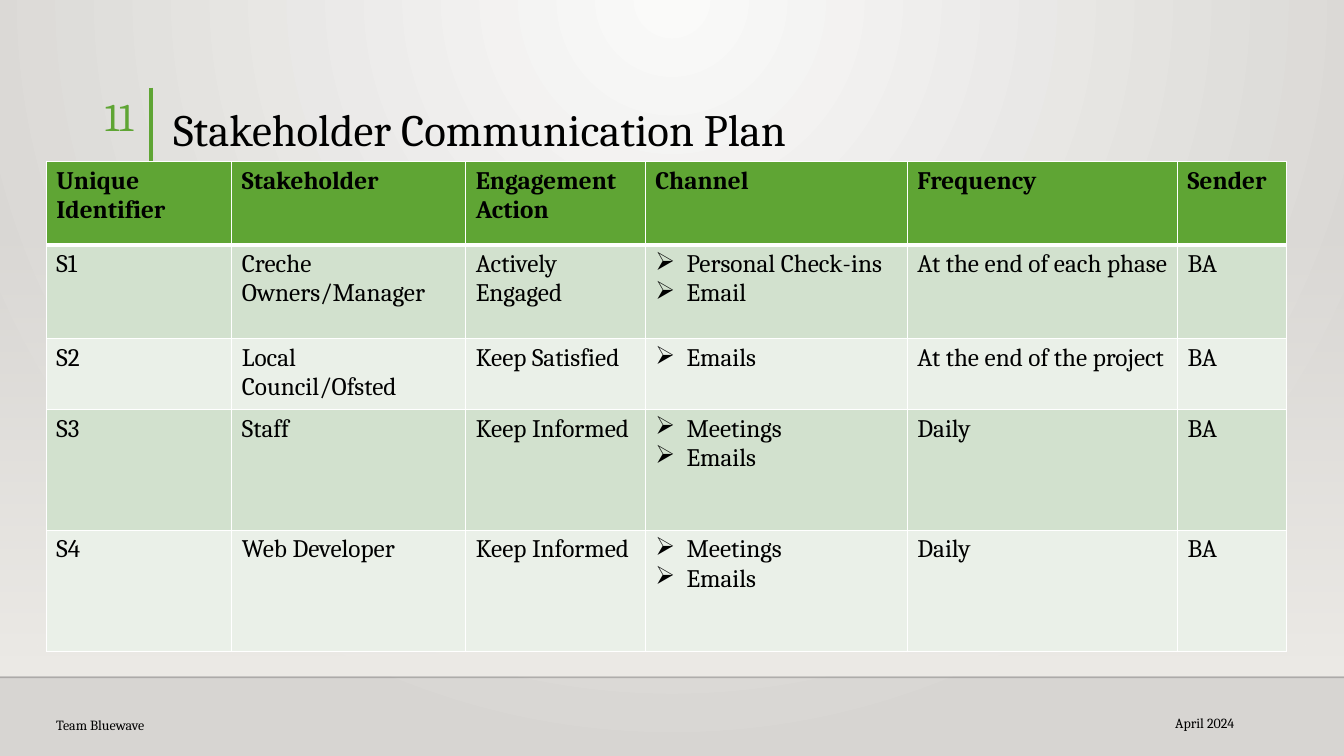
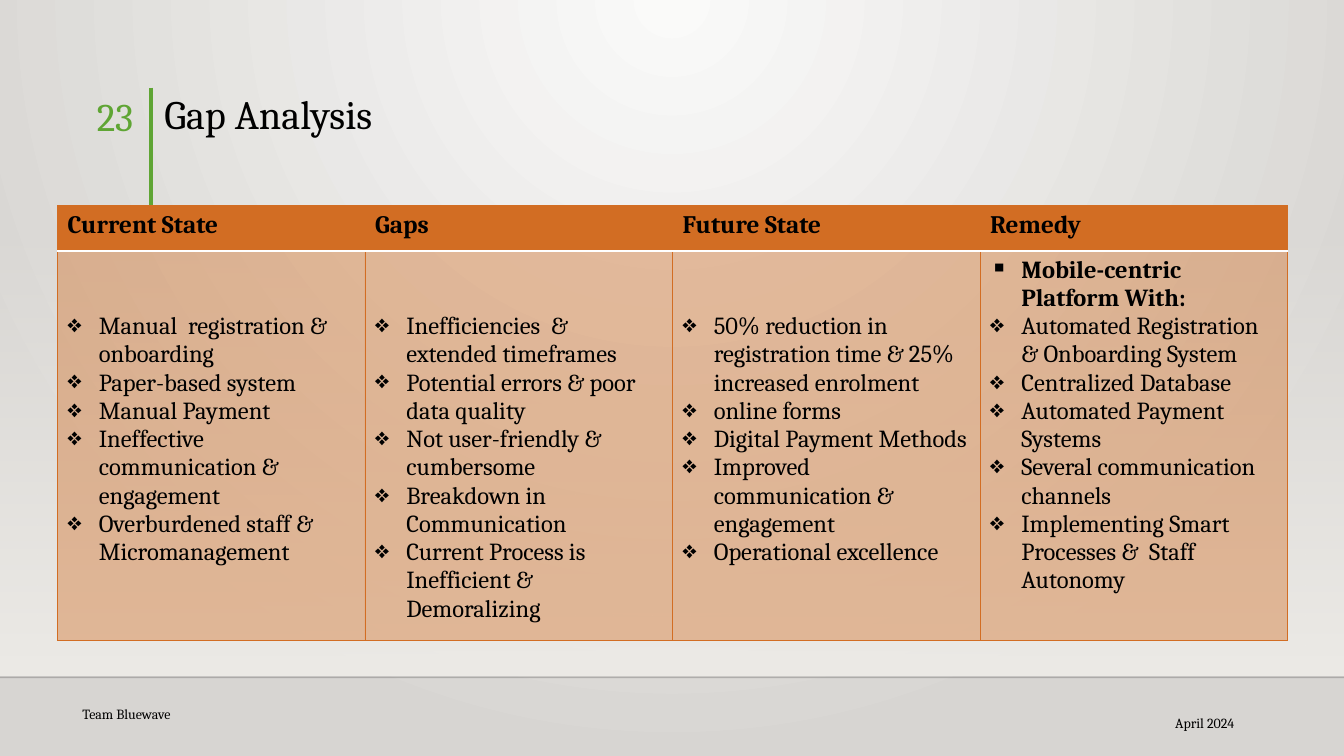
from lxml.etree import SubElement
from pptx import Presentation
from pptx.dml.color import RGBColor
from pptx.enum.shapes import MSO_CONNECTOR, MSO_SHAPE
from pptx.enum.text import MSO_ANCHOR, MSO_AUTO_SIZE, PP_ALIGN
from pptx.oxml.ns import qn
from pptx.util import Inches, Pt

FONT = "Cambria"
BLACK, WHITE, GREEN, ORANGE = "000000", "FFFFFF", "5FA534", "D26D23"
BAND_FILLS = ("D2E1CE", "EAF0E8")
SLIDE_WIDTH, SLIDE_HEIGHT = 13.33, 7.5
TEAM, DATE = "Team Bluewave", "April 2024"

PLAN = {
    "title": "Stakeholder Communication Plan",
    "number": "11",
    "title_at": (1.62, 0.78, 10.37, 0.82),
    "title_size": 32,
    "team_at": (0.46, 6.91, 8.64, 0.56),
}
PLAN_HEADINGS = ("Unique Identifier", "Stakeholder", "Engagement Action",
                 "Channel", "Frequency", "Sender")
PLAN_ROWS = [
    ("S1", "Creche Owners/Manager", "Actively Engaged",
     ["Personal Check-ins", "Email"], "At the end of each phase", "BA"),
    ("S2", "Local Council/Ofsted", "Keep Satisfied",
     ["Emails"], "At the end of the project", "BA"),
    ("S3", "Staff", "Keep Informed", ["Meetings", "Emails"], "Daily", "BA"),
    ("S4", "Web Developer", "Keep Informed", ["Meetings", "Emails"], "Daily", "BA"),
]
PLAN_WIDTHS = (1.84, 2.32, 1.78, 2.6, 2.68, 1.08)
PLAN_HEIGHTS = (0.83, 0.93, 0.7, 1.2, 1.2)

GAP = {
    "title": "Gap Analysis",
    "number": "23",
    "title_at": (1.53, 0.87, 10.56, 0.55),
    "title_size": 28.8,
    "team_at": (0.72, 6.91, 6.4, 0.34),
}
GAP_COLUMNS = [
    ("Current State", None, [
        "Manual  registration & onboarding",
        "Paper-based system",
        "Manual Payment",
        "Ineffective communication & engagement",
        "Overburdened staff & Micromanagement",
    ]),
    ("Gaps", None, [
        "Inefficiencies  & extended timeframes",
        "Potential errors & poor data quality",
        "Not user-friendly & cumbersome",
        "Breakdown in Communication",
        "Current Process is Inefficient & Demoralizing",
    ]),
    ("Future State", None, [
        "50% reduction in registration time & 25% increased enrolment",
        "online forms",
        "Digital Payment Methods",
        "Improved communication & engagement",
        "Operational excellence",
    ]),
    ("Remedy", "Mobile-centric Platform With:", [
        "Automated Registration & Onboarding System",
        "Centralized Database",
        "Automated Payment Systems",
        "Several communication channels",
        "Implementing Smart Processes &  Staff Autonomy",
    ]),
]
GAP_WIDTHS = (3.05,) * len(GAP_COLUMNS)
GAP_HEIGHTS = (0.45, 3.86)
LEAD_SPACE = 0.61


def rgb(value):
    return RGBColor.from_string(value)


def set_opacity(color_element, percent):
    SubElement(color_element, qn("a:alpha"), val=str(percent * 1000))


def set_stops(fill, first, last):
    fill.gradient()
    for stop, color, position in zip(fill.gradient_stops, (first, last), (0, 1)):
        stop.color.rgb = rgb(color)
        stop.position = position


def write(frame, text, size=18, color=BLACK, bold=False, bullet=None,
          align=PP_ALIGN.LEFT, spacing=None):
    para = frame.paragraphs[0]
    if para.runs:
        para = frame.add_paragraph()
    para.alignment = align
    if spacing:
        para.line_spacing = spacing
    if bullet:
        properties = para._p.get_or_add_pPr()
        properties.set("marL", str(Inches(0.31)))
        properties.set("indent", str(-Inches(0.31)))
        SubElement(properties, qn("a:buChar"), char=bullet)
    span = para.add_run()
    span.text = text
    span.font.name = FONT
    span.font.size = Pt(size)
    span.font.bold = bold
    span.font.color.rgb = rgb(color)


def add_label(page, at, text, anchor=MSO_ANCHOR.MIDDLE, **style):
    frame = page.shapes.add_textbox(*map(Inches, at)).text_frame
    frame.word_wrap = True
    frame.vertical_anchor = anchor
    write(frame, text, **style)


def add_line(page, start, end, color, width, opacity=100):
    line = page.shapes.add_connector(
        MSO_CONNECTOR.STRAIGHT, *map(Inches, start + end))
    line.line.color.rgb = rgb(color)
    line.line.width = Pt(width)
    properties = line.element.spPr
    if opacity < 100:
        set_opacity(properties.find(".//" + qn("a:srgbClr")), opacity)
    SubElement(properties, qn("a:effectLst"))


def set_background(master):
    set_stops(master.background.fill, "FAFAF9", "D7D5D2")
    gradient = master.element.find(".//" + qn("p:bg")).find(".//" + qn("a:gradFill"))
    for linear in gradient.findall(qn("a:lin")):
        gradient.remove(linear)
    circle = SubElement(gradient, qn("a:path"), path="circle")
    SubElement(circle, qn("a:fillToRect"), l="43000", t="0", r="43000", b="100000")


def add_page(deck, info):
    page = deck.slides.add_slide(deck.slide_layouts[5])
    glow = page.shapes.add_shape(
        MSO_SHAPE.RECTANGLE, 0, Inches(2.2), Inches(SLIDE_WIDTH), Inches(4.5))
    glow.shadow.inherit = False
    glow.line.fill.background()
    set_stops(glow.fill, "EDEBE7", "EDEBE7")
    glow.fill.gradient_angle = 270
    set_opacity(glow.element.spPr.find(".//" + qn("a:srgbClr")), 0)
    add_line(page, (0, 6.72), (SLIDE_WIDTH, 6.72), "000001", 1, opacity=20)
    add_line(page, (1.5, 0.87), (1.5, 2.04), GREEN, 3)

    title = page.shapes.title
    title.left, title.top, title.width, title.height = map(Inches, info["title_at"])
    frame = title.text_frame
    frame.auto_size = MSO_AUTO_SIZE.NONE
    frame.vertical_anchor = MSO_ANCHOR.BOTTOM
    write(frame, info["title"], size=info["title_size"], spacing=0.9)

    add_label(page, (0.53, 0.87, 0.89, 0.55), info["number"], MSO_ANCHOR.TOP,
              size=28, color=GREEN, align=PP_ALIGN.RIGHT)
    add_label(page, info["team_at"], TEAM, size=10)
    add_label(page, (8.51, 7, 3.83, 0.34), DATE, size=10, align=PP_ALIGN.RIGHT)
    return page


def add_grid(page, left, top, widths, heights):
    table = page.shapes.add_table(
        len(heights), len(widths), Inches(left), Inches(top),
        Inches(sum(widths)), Inches(sum(heights))).table
    table.first_row = table.horz_banding = False
    for column, width in zip(table.columns, widths):
        column.width = Inches(width)
    for row, height in zip(table.rows, heights):
        row.height = Inches(height)
    return table


def format_cell(cell, row, fill, border, rule, opacity=100):
    properties = cell._tc.get_or_add_tcPr()
    for side in ("L", "R", "T", "B"):
        under_header = (row, side) in ((0, "B"), (1, "T"))
        color, width = rule if under_header else border
        edge = SubElement(properties, qn("a:ln" + side), w=str(Pt(width)))
        solid = SubElement(edge, qn("a:solidFill"))
        SubElement(solid, qn("a:srgbClr"), val=color)
    cell.fill.solid()
    cell.fill.fore_color.rgb = rgb(fill)
    if opacity < 100:
        set_opacity(properties.find(qn("a:solidFill")).find(qn("a:srgbClr")), opacity)


def build_plan(deck):
    table = add_grid(add_page(deck, PLAN), 0.46, 1.6, PLAN_WIDTHS, PLAN_HEIGHTS)
    for row, values in enumerate([PLAN_HEADINGS] + PLAN_ROWS):
        fill = BAND_FILLS[(row - 1) % 2] if row else GREEN
        for column, value in enumerate(values):
            cell = table.cell(row, column)
            format_cell(cell, row, fill, (WHITE, 1), (WHITE, 3))
            listed = isinstance(value, list)
            for text in value if listed else [value]:
                write(cell.text_frame, text, bold=row == 0,
                      bullet="➢" if listed else None)


def build_gap(deck):
    table = add_grid(add_page(deck, GAP), 0.57, 2.04, GAP_WIDTHS, GAP_HEIGHTS)
    border, rule = (ORANGE, 0.75), (WHITE, 1.25)
    for column, (heading, lead, items) in enumerate(GAP_COLUMNS):
        header, body = table.cell(0, column), table.cell(1, column)
        format_cell(header, 0, ORANGE, border, rule)
        format_cell(body, 1, ORANGE, border, rule, opacity=40)
        write(header.text_frame, heading, bold=True)
        if lead:
            write(body.text_frame, lead, size=17.5, bold=True, bullet="▪")
        else:
            body.margin_top = Inches(LEAD_SPACE)
        for item in items:
            write(body.text_frame, item, size=17.5, bullet="❖")


def main():
    deck = Presentation()
    deck.slide_width, deck.slide_height = Inches(SLIDE_WIDTH), Inches(SLIDE_HEIGHT)
    set_background(deck.slide_master)
    build_plan(deck)
    build_gap(deck)
    deck.save("out.pptx")


if __name__ == "__main__":
    main()
